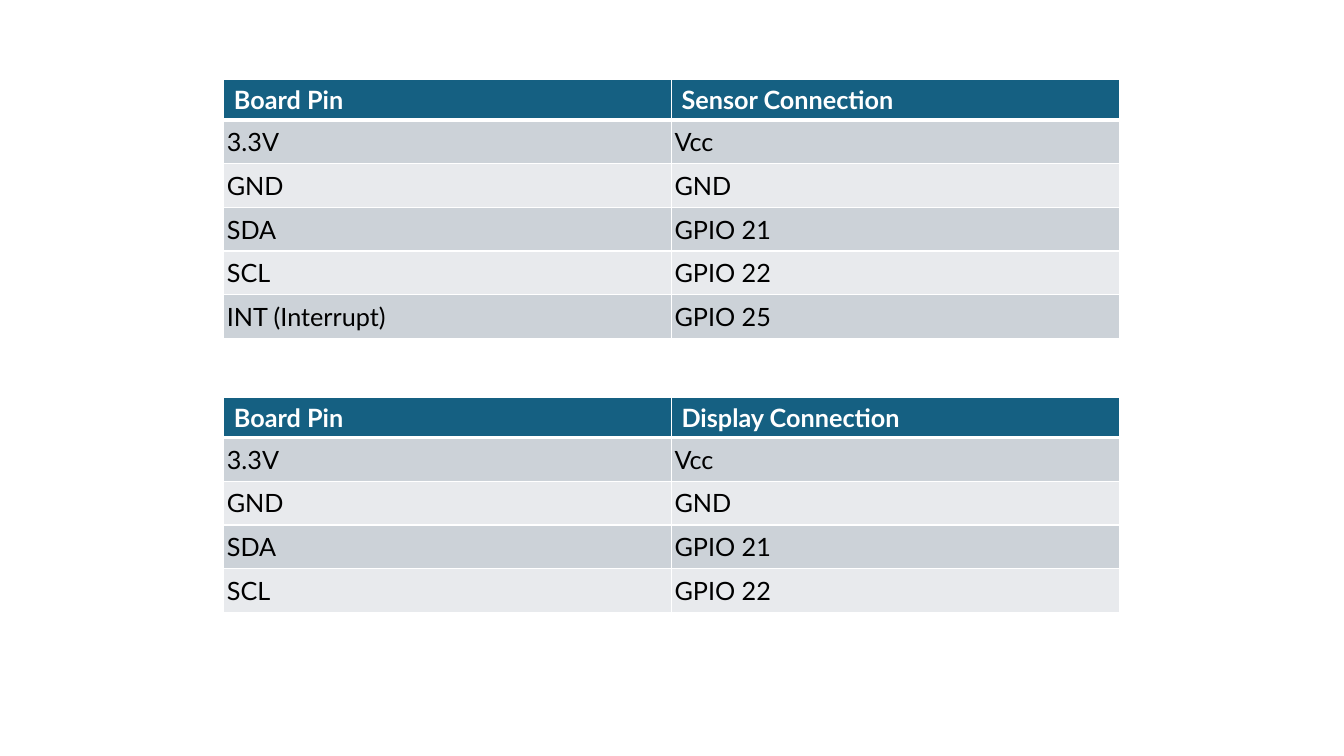
import pptx
import pptx.dml.color
import pptx.enum.text
import pptx.oxml
import pptx.oxml.ns
import pptx.util

Inches, Pt = pptx.util.Inches, pptx.util.Pt

SHARED_PINS = [
    ("3.3V", "Vcc"),
    ("GND", "GND"),
    ("SDA", "GPIO 21"),
    ("SCL", "GPIO 22"),
]
WIRINGS = [
    (0.79, [("Board Pin", "Sensor Connection"), *SHARED_PINS,
            ("INT (Interrupt)", "GPIO 25")]),
    (3.94, [("Board Pin", "Display Connection"), *SHARED_PINS]),
]

LEFT, COLUMN_WIDTH = 2.22, 4.44
HEADER_HEIGHT, PIN_HEIGHT = 0.4, 0.43
HEADER_FILL, PIN_FILLS = "156082", ("E8EAED", "CCD2D8")
WHITE, BLACK = "FFFFFF", "000000"


def rgb(color):
    return pptx.dml.color.RGBColor.from_string(color)


def add_borders(cell, bottom):
    """Draw white cell edges, 1 pt wide except for the bottom one."""
    properties = cell._tc.get_or_add_tcPr()
    for index, (side, width) in enumerate(
            [("L", 1), ("R", 1), ("T", 1), ("B", bottom)]):
        properties.insert(index, pptx.oxml.parse_xml(
            f'<a:ln{side} {pptx.oxml.ns.nsdecls("a")} w="{Pt(width)}">'
            f'<a:solidFill><a:srgbClr val="{WHITE}"/></a:solidFill>'
            f'</a:ln{side}>'))


def fill_cell(cell, text, row):
    header = row == 0
    cell.text = text
    cell.fill.solid()
    cell.fill.fore_color.rgb = rgb(HEADER_FILL if header else PIN_FILLS[row % 2])
    if not header:
        cell.vertical_anchor = pptx.enum.text.MSO_ANCHOR.MIDDLE
        cell.margin_left = cell.margin_right = Inches(0.03)
        cell.margin_top = cell.margin_bottom = Pt(4.8)
    font = cell.text_frame.paragraphs[0].font
    font.name, font.size, font.bold = "Lato", Pt(18), header
    font.color.rgb = rgb(WHITE if header else BLACK)
    add_borders(cell, bottom=3 if header else 1)


def add_wiring(slide, top, rows):
    heights = [HEADER_HEIGHT] + [PIN_HEIGHT] * (len(rows) - 1)
    wiring = slide.shapes.add_table(
        len(rows), 2, Inches(LEFT), Inches(top),
        Inches(2 * COLUMN_WIDTH), Inches(sum(heights))).table
    for row, (texts, height) in enumerate(zip(rows, heights)):
        wiring.rows[row].height = Inches(height)
        for column, text in enumerate(texts):
            fill_cell(wiring.cell(row, column), text, row)


def main():
    deck = pptx.Presentation()
    deck.slide_width, deck.slide_height = Inches(13.33), Inches(7.5)
    slide = deck.slides.add_slide(deck.slide_layouts[6])
    for top, rows in WIRINGS:
        add_wiring(slide, top, rows)
    deck.save("out.pptx")


if __name__ == "__main__":
    main()
